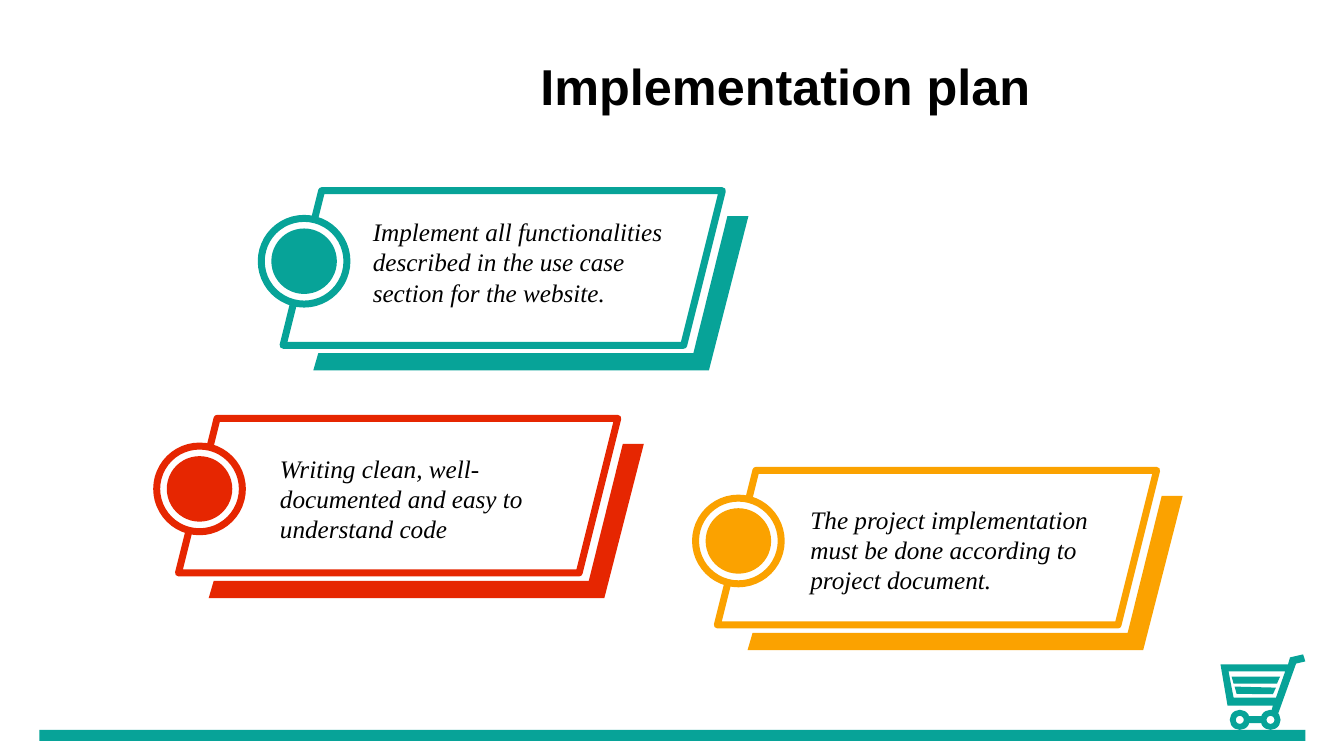
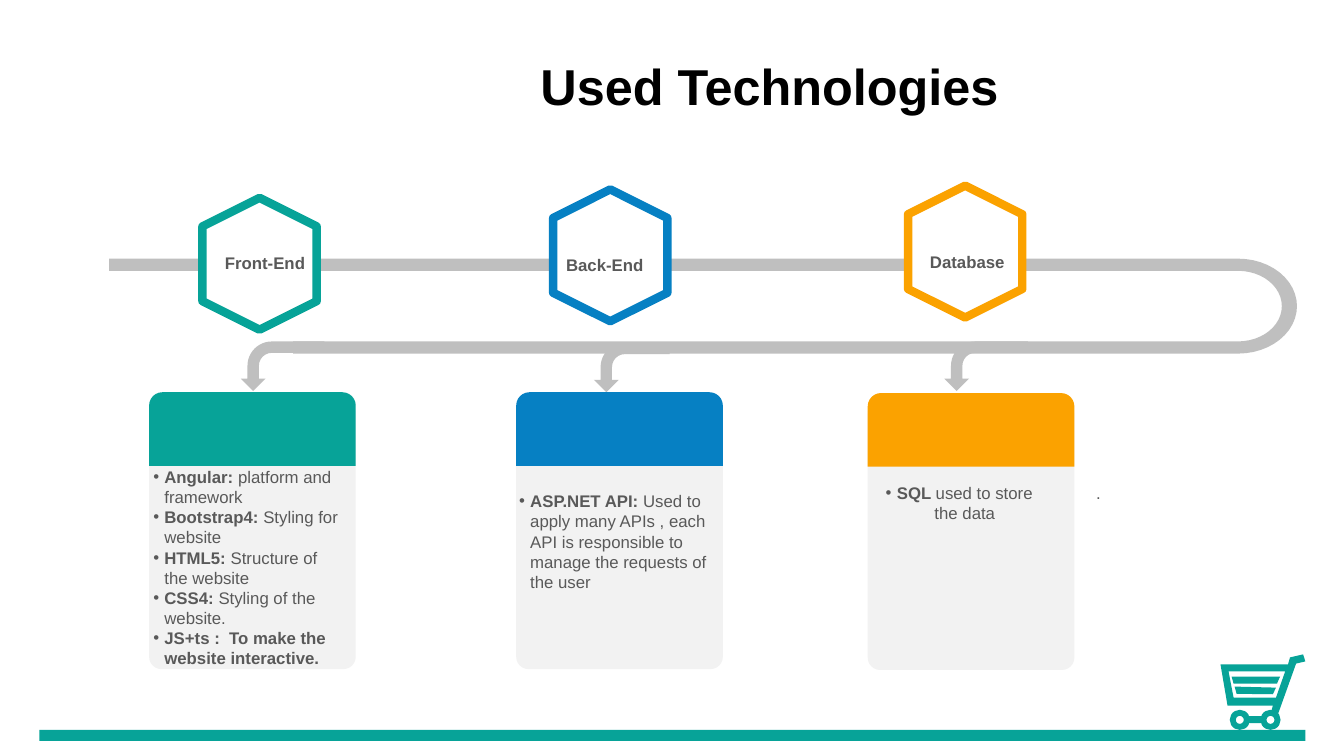
from math import cos, pi, sin

from lxml.etree import SubElement
from pptx import Presentation
from pptx.dml.color import RGBColor
from pptx.enum.shapes import MSO_SHAPE as SHAPE
from pptx.enum.text import MSO_ANCHOR as ANCHOR, MSO_AUTO_SIZE as FIT, PP_ALIGN as ALIGN
from pptx.oxml.ns import qn
from pptx.util import Inches, Pt

# Square grid cells: the slide is 160 columns by 90 rows
COLS, ROWS = 160, 90
SLIDE_W, SLIDE_H = Inches(13.333), Inches(7.5)
CELL = SLIDE_H / ROWS

TEAL, RED, ORANGE, BLUE = "07A398", "E62601", "FBA200", "0680C3"
WHITE, BLACK, PIPE, CARD, GREY = "FFFFFF", "000000", "BFBFBF", "F2F2F2", "595959"
SANS, SERIF = "Arial", "Times New Roman"
TITLE_ONLY, COMPARISON = 5, 4


def cells(*values):
    return [round(v * CELL) for v in values]


def paint(sp, fill, line=None, width=0):
    sp.shadow.inherit = False
    sp.fill.solid()
    sp.fill.fore_color.rgb = RGBColor.from_string(fill)
    if line:
        sp.line.color.rgb = RGBColor.from_string(line)
        sp.line.width = Pt(width)
    else:
        sp.line.fill.background()
    return sp


def add_preset(s, kind, box, fill, line=None, width=0, adj=()):
    sp = s.shapes.add_shape(kind, *cells(*box))
    for i, value in enumerate(adj):
        sp.adjustments[i] = value
    return paint(sp, fill, line, width)


def add_outline(s, x, y, contours, fill):
    """Closed outlines, with points in cells from (x, y); an inner one is a hole."""
    builder = None
    for points in contours:
        start, *rest = [cells(x + px, y + py) for px, py in points]
        if builder is None:
            builder = s.shapes.build_freeform(*start, scale=1.0)
        else:
            builder.move_to(*start)
        builder.add_line_segments(rest, close=True)
    return paint(builder.convert_to_shape(), fill)


def place(sp, box):
    sp.left, sp.top, sp.width, sp.height = cells(*box)


def set_frame(tf, anchor=ANCHOR.TOP):
    tf.word_wrap = True
    tf.auto_size = FIT.NONE
    tf.vertical_anchor = anchor


def style(r, size, color, font=SANS, bold=False, italic=False):
    r.font.size, r.font.name = Pt(size), font
    r.font.bold, r.font.italic = bold, italic
    r.font.color.rgb = RGBColor.from_string(color)


def add_text(s, box, text, size, color, align=ALIGN.LEFT, anchor=ANCHOR.TOP, **look):
    tf = s.shapes.add_textbox(*cells(*box)).text_frame
    set_frame(tf, anchor)
    p = tf.paragraphs[0]
    p.text, p.alignment = text, align
    style(p.runs[0], size, color, **look)


def add_bullet(p):
    pPr = p._p.get_or_add_pPr()
    indent = Inches(0.11)
    pPr.set("marL", str(indent))
    pPr.set("indent", str(-indent))
    SubElement(pPr, qn("a:buFont"), typeface=SANS)
    SubElement(pPr, qn("a:buChar"), char="•")


def fill_list(s, ph, box, items, align):
    """Items are pairs of a bold lead and plain text."""
    place(ph, box)
    s.shapes.element.append(ph.element)  # in front of the card
    tf = ph.text_frame
    set_frame(tf)
    for i, (lead, rest) in enumerate(items):
        p = tf.add_paragraph() if i else tf.paragraphs[0]
        p.alignment, p.space_before = align, Pt(0)
        add_bullet(p)
        for text, bold in ((lead, True), (rest, False)):
            if text:
                r = p.add_run()
                r.text = text
                style(r, 12, GREY, bold=bold)


def add_titled_slide(prs, layout, title):
    s = prs.slides.add_slide(prs.slide_layouts[layout])
    sp = s.shapes.title
    place(sp, (62.9, 6, 62.5, 8.5))
    tf = sp.text_frame
    tf.text = title
    set_frame(tf)
    tf.margin_left = tf.margin_right = Inches(0.12)
    p = tf.paragraphs[0]
    p.alignment = ALIGN.LEFT
    style(p.runs[0], 36, BLACK, bold=True)
    return s


def add_cart(s, x, y):
    frame = [(9.84, 0), (8.28, 0.36), (8.04, 1.2), (0, 1.2), (0.84, 6.1), (6.24, 6.1),
             (5.9, 7.3), (6.85, 7.1), (9, 1.1), (10.1, 0.84)]
    opening = [(7.7, 2.04), (6.6, 5.16), (1.56, 5.16), (0.96, 2.04)]
    slats = [[(1.32, 2.64), (1.56, 3.5), (6.72, 3.5), (7.1, 2.64)],
             [(1.68, 3.84), (1.92, 4.7), (6.24, 4.75), (6.6, 3.96)]]
    parts = [add_outline(s, x, y, [frame, opening, *slats], TEAL),
             add_preset(s, SHAPE.RECTANGLE, (x + 3.3, y + 7.35, 1.7, 0.85), TEAL)]
    for wheel in (1.1, 4.75):
        parts.append(add_preset(s, SHAPE.DONUT, (x + wheel, y + 6.6, 2.4, 2.4), TEAL, adj=[0.3]))
    return parts


def move_footer_to_master(prs, s):
    band = add_preset(s, SHAPE.RECTANGLE, (4.7, 86.9, 150.7, 1.3), TEAL)
    for sp in (*add_cart(s, 145.3, 77.9), band):
        prs.slide_master.shapes.element.append(sp.element)


def add_panel(s, x, y, color, text, dx, dy):
    """Slanted panel at (x, y) with its text shifted by (dx, dy)."""
    add_preset(s, SHAPE.PARALLELOGRAM, (x, y, 52.3, 18.4), WHITE, color, 5)
    edge = [(52.9, 3.05), (55.4, 3.05), (50.7, 21.4), (3.6, 21.4), (4.2, 19.35), (48.85, 19.35)]
    add_outline(s, x, y, [edge], color)
    add_preset(s, SHAPE.OVAL, (x - 2.6, y + 3.3, 10.2, 10.2), WHITE, color, 5)
    add_preset(s, SHAPE.OVAL, (x - 1.4, y + 4.5, 7.8, 7.8), color)
    add_text(s, (x + dx, y + dy, 37, 12.1), text, 18, BLACK, anchor=ANCHOR.MIDDLE,
             font=SERIF, italic=True)


def add_pipe(s, left, top, lower_left):
    """Pipe running right, round a bend and back to lower_left."""
    bend_x, height, thick = 147.4, 11.3, 1.45
    mid = height / 2

    def bend(rx, ry):
        angles = [pi * (i / 24 - 0.5) for i in range(25)]
        return [(bend_x - left + rx * cos(a), mid + ry * sin(a)) for a in angles]

    back = lower_left - left
    outline = [(0, 0), *bend(7, mid), (back, height), (back, height - thick),
               *reversed(bend(5.2, mid - thick)), (0, thick)]
    add_outline(s, left, top, [outline], PIPE)


def add_arrow(s, cx, cy, length):
    breadth = 5.9
    sp = add_preset(s, SHAPE.BENT_ARROW, (cx - breadth / 2, cy - length / 2, breadth, length),
                    PIPE, adj=[0.23, 0.25, 0.25, 0.49])
    sp.rotation = 270
    sp.element.spPr.find(qn("a:xfrm")).set("flipH", "1")


def add_hexagon(s, cx, cy, color, label, label_x, label_y):
    w, h = 15.7, 13.6
    sp = add_preset(s, SHAPE.HEXAGON, (cx - w / 2, cy - h / 2, w, h), WHITE, color, 6)
    sp.rotation = 270
    label_w = 16.4
    add_text(s, (label_x - label_w / 2, label_y, label_w, 3.6), label, 12, GREY,
             ALIGN.CENTER, bold=True)


def add_card(s, x, y, color):
    w = 24.6
    add_preset(s, SHAPE.ROUNDED_RECTANGLE, (x, y + 0.96, w, 32), CARD, adj=[0.06])
    add_preset(s, SHAPE.ROUND_2_SAME_RECTANGLE, (x, y, w, 8.76), color, adj=[0.18, 0])


def build_plan(prs):
    s = add_titled_slide(prs, TITLE_ONLY, "Implementation plan")
    move_footer_to_master(prs, s)
    panels = [
        (33.7, 22.7, TEAL, "Implement all functionalities described in the use case section "
                           "for the website.", 9.5, 2.4),
        (21.25, 49.8, RED, "Writing clean, well-documented and easy to understand code",
         10.9, 3.5),
        (85.4, 56, ORANGE, "The project implementation must be done according to project "
                           "document.", 9.9, 3.35),
    ]
    for panel in panels:
        add_panel(s, *panel)


def build_technologies(prs):
    s = add_titled_slide(prs, COMPARISON, "Used Technologies")
    bodies = {ph.placeholder_format.idx: ph for ph in s.placeholders}
    unused = bodies[3].element
    unused.getparent().remove(unused)

    add_pipe(s, 13, 30.8, 34.9)
    for arrow in ((33.65, 43.6, 9.96), (75.2, 43.75, 9), (117.4, 43.6, 9.96)):
        add_arrow(s, *arrow)
    hexagons = [
        (30.9, 31.4, TEAL, "Front-End", 31.55, 29.5),
        (72.65, 30.4, BLUE, "Back-End", 72, 29.75),
        (114.9, 29.95, ORANGE, "Database", 115.15, 29.4),
    ]
    for hexagon in hexagons:
        add_hexagon(s, *hexagon)
    for card in ((17.75, 46.7, TEAL), (61.45, 46.7, BLUE), (103.3, 46.8, ORANGE)):
        add_card(s, *card)

    front = [
        ("Angular: ", "platform and framework"),
        ("Bootstrap4: ", "Styling for website"),
        ("HTML5: ", "Structure of the website"),
        ("CSS4: ", "Styling of the website."),
        ("JS+ts :  To make the website interactive.", ""),
    ]
    back = [("ASP.NET API: ", "Used to apply many APIs , each API is responsible to "
                              "manage the requests of the user")]
    database = [("SQL ", "used to store the data")]
    fill_list(s, bodies[1], (17.05, 54.95, 24.6, 26), front, ALIGN.LEFT)
    fill_list(s, bodies[2], (60.6, 57.85, 26.65, 13.3), back, ALIGN.LEFT)
    fill_list(s, bodies[4], (104.05, 56.9, 20.3, 6), database, ALIGN.CENTER)
    add_text(s, (120.6, 56.9, 20.3, 6), ".", 12, GREY, ALIGN.CENTER)


def main():
    prs = Presentation()
    prs.slide_width, prs.slide_height = SLIDE_W, SLIDE_H
    build_plan(prs)
    build_technologies(prs)
    prs.save("out.pptx")


if __name__ == "__main__":
    main()
